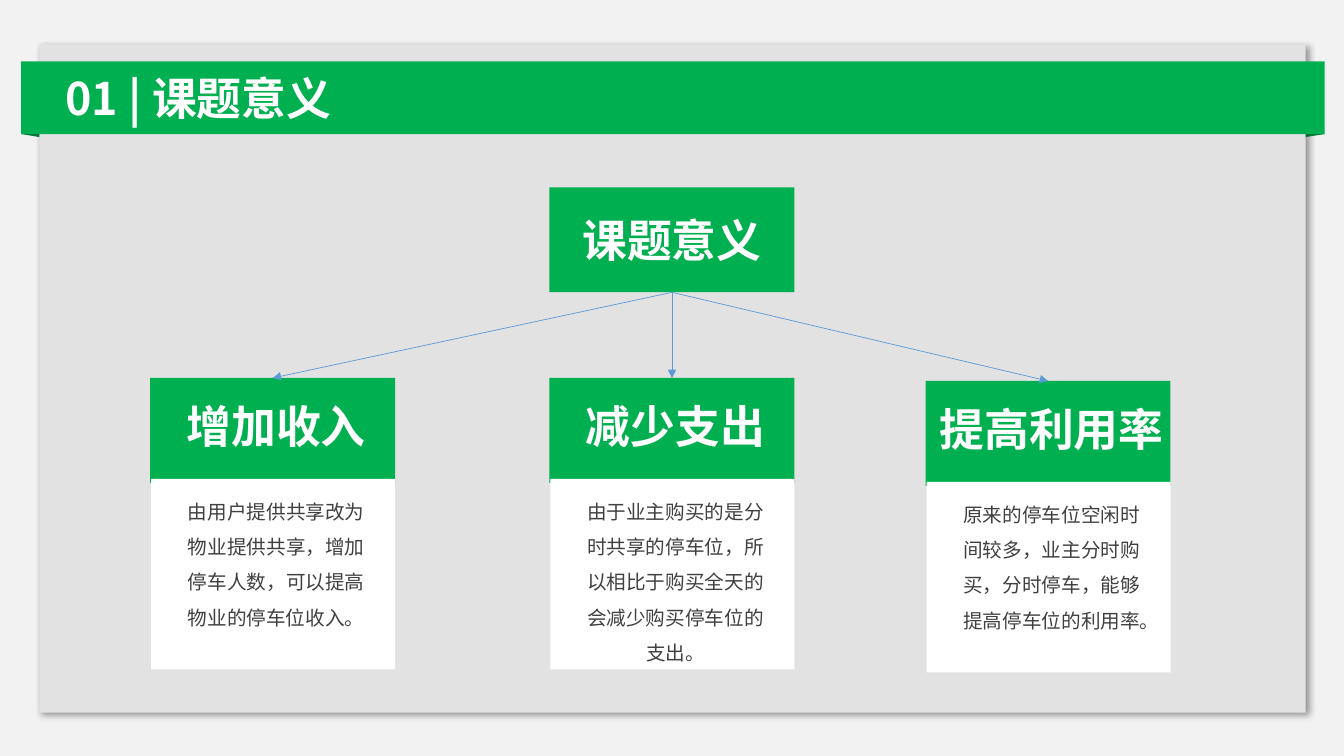
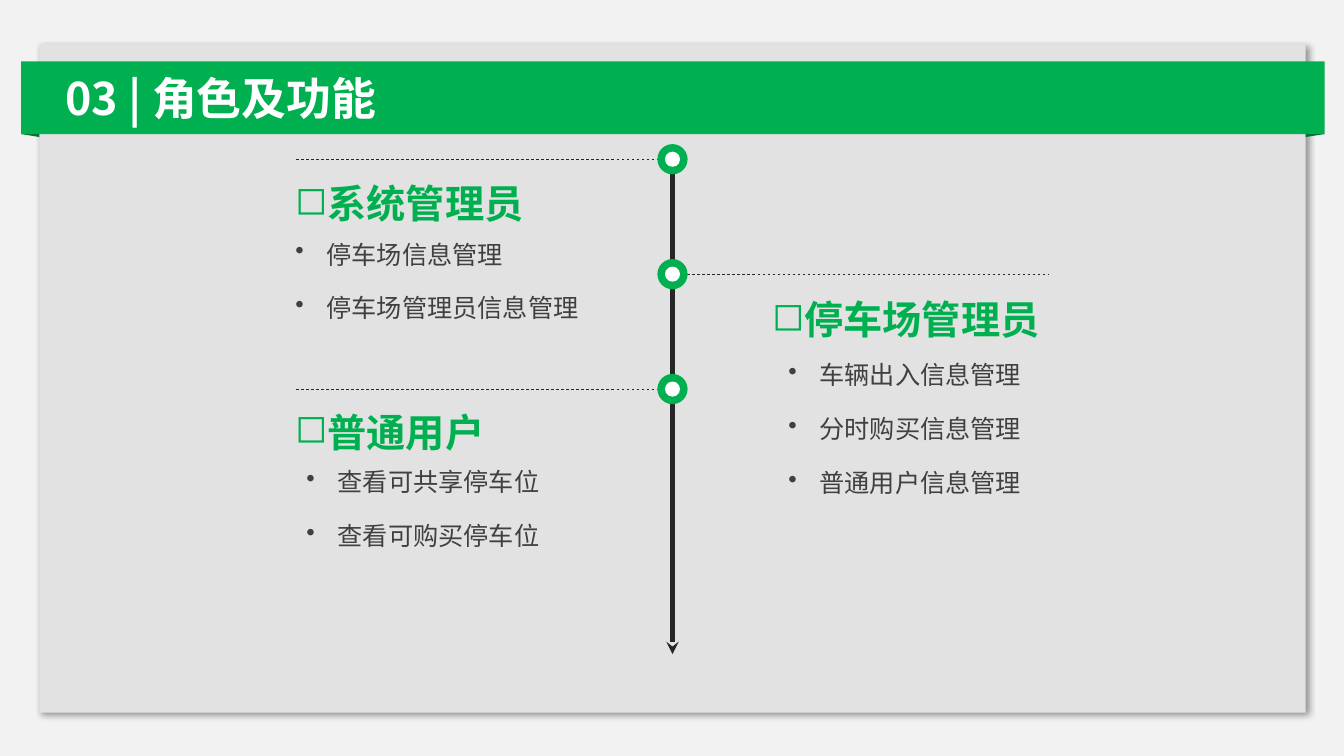
"""Build two slides on the purpose and the roles of a shared parking system."""
from lxml import etree
from pptx import Presentation
from pptx.dml.color import RGBColor
from pptx.enum.dml import MSO_LINE
from pptx.enum.shapes import MSO_CONNECTOR, MSO_SHAPE
from pptx.enum.text import MSO_ANCHOR, PP_ALIGN
from pptx.oxml.ns import qn
from pptx.util import Inches, Pt

RECT, OVAL = MSO_SHAPE.RECTANGLE, MSO_SHAPE.OVAL
STRAIGHT = MSO_CONNECTOR.STRAIGHT
DASH = MSO_LINE.DASH
LEFT, CENTER = PP_ALIGN.LEFT, PP_ALIGN.CENTER
TOP, MIDDLE = MSO_ANCHOR.TOP, MSO_ANCHOR.MIDDLE
BOTTOM_SIDE, TOP_SIDE = 2, 0

FONT = "Noto Sans CJK SC"
GREEN, DARK_GREEN, WHITE = "00B050", "007635", "FFFFFF"
PAGE, PANEL, BODY, INK, BLUE = "F2F2F2", "E2E2E2", "404040", "262626", "5B9BD5"
INSETS = (0.1, 0.05, 0.1, 0.05)


def rgb(value):
    """Turn a hex string into a colour."""
    return RGBColor.from_string(value)


def add_xml(parent, tag, **attributes):
    """Append a drawing element and return it."""
    return etree.SubElement(parent, qn(tag), attributes)


def write(frame, *lines, size=18, color=BODY, bold=False, align=LEFT, anchor=TOP,
          spacing=1.0, before=0, bullet=None, insets=INSETS):
    """Fill a text frame with one paragraph per line."""
    frame.word_wrap = True
    frame.vertical_anchor = anchor
    (frame.margin_left, frame.margin_top,
     frame.margin_right, frame.margin_bottom) = map(Inches, insets)
    for index, line in enumerate(lines):
        paragraph = frame.add_paragraph() if index else frame.paragraphs[0]
        paragraph.alignment = align
        paragraph.line_spacing = spacing
        paragraph.space_before = Pt(before if index else 0)
        if bullet:
            properties = paragraph._p.get_or_add_pPr()
            properties.set("marL", str(Inches(0.31)))
            properties.set("indent", str(-Inches(0.31)))
            add_xml(properties, "a:buChar", char=bullet)
        run = paragraph.add_run()
        run.text = line
        run.font.size = Pt(size)
        run.font.bold = bold
        run.font.color.rgb = rgb(color)
        run.font.name = FONT
        add_xml(run._r.get_or_add_rPr(), "a:ea", typeface=FONT)


class Deck:
    """Hold the presentation, its style and the current slide."""

    def __init__(self):
        """Set the page size and background."""
        self.prs = Presentation()
        self.prs.slide_width, self.prs.slide_height = Inches(13.33), Inches(7.5)
        background = self.prs.slide_master.background.fill
        background.solid()
        background.fore_color.rgb = rgb(PAGE)
        self.slide = None

    def paint(self, shape, fill):
        """Give a shape a plain fill without line or shadow."""
        shape.shadow.inherit = False
        shape.fill.solid()
        shape.fill.fore_color.rgb = rgb(fill)
        shape.line.fill.background()
        return shape

    def shape(self, kind, left, top, width, height, fill):
        """Add a filled preset shape."""
        box = map(Inches, (left, top, width, height))
        return self.paint(self.slide.shapes.add_shape(kind, *box), fill)

    def fold(self, *corners):
        """Add the dark fold behind one end of the title band."""
        start, *others = [tuple(map(Inches, corner)) for corner in corners]
        builder = self.slide.shapes.build_freeform(*start)
        builder.add_line_segments(others)
        self.paint(builder.convert_to_shape(), DARK_GREEN)

    def panel(self):
        """Add the grey panel with its soft shadow."""
        panel = self.shape(RECT, 0.39, 0.44, 12.56, 6.63, PANEL)
        effects = panel.element.spPr.find(qn("a:effectLst"))
        shadow = add_xml(effects, "a:outerShdw", blurRad=str(Pt(4)), dist=str(Pt(3)),
                         dir=str(45 * 60000), algn="tl", rotWithShape="0")
        color = add_xml(shadow, "a:srgbClr", val="000000")
        add_xml(color, "a:alpha", val="40000")

    def new_slide(self, heading):
        """Start a slide with the panel, band and title."""
        self.slide = self.prs.slides.add_slide(self.prs.slide_layouts[5])
        self.panel()
        self.shape(RECT, 0.21, 0.61, 12.93, 0.72, GREEN)
        self.fold((0.21, 1.33), (0.39, 1.33), (0.39, 1.36))
        self.fold((13.14, 1.33), (12.95, 1.33), (12.95, 1.36))
        title = self.slide.shapes.title
        title.left, title.top = Inches(0.55), Inches(0.65)
        title.width, title.height = Inches(9), Inches(0.64)
        write(title.text_frame, heading, size=32, color=WHITE, bold=True, anchor=MIDDLE)
        self.slide.shapes.element.append(title.element)

    def text(self, left, top, width, height, *lines, **style):
        """Add a text box."""
        box = map(Inches, (left, top, width, height))
        write(self.slide.shapes.add_textbox(*box).text_frame, *lines, **style)

    def label(self, left, top, heading, insets=INSETS):
        """Add a green box with a white heading."""
        label = self.shape(RECT, left, top, 2.43, 1.04, GREEN)
        write(label.text_frame, heading, size=32, color=WHITE, bold=True,
              align=CENTER, anchor=MIDDLE, insets=insets)
        return label

    def card(self, left, top, heading, detail):
        """Add a green label above a white explanation."""
        label = self.label(left, top, heading, insets=(0.07, 0, 0, 0.1))
        note = self.shape(RECT, left + 0.01, top + 1, 2.42, 1.89, WHITE)
        write(note.text_frame, detail, size=14, align=CENTER, spacing=1.5,
              insets=(0.32, 0.09, 0.26, 0))
        return label

    def line(self, start, end, color, width, dash=None, arrow=None):
        """Add a straight line, with an arrowhead at its end if named."""
        points = map(Inches, (*start, *end))
        line = self.slide.shapes.add_connector(STRAIGHT, *points)
        line.line.color.rgb = rgb(color)
        line.line.width = Pt(width)
        if dash:
            line.line.dash_style = dash
        if arrow:
            add_xml(line.get_or_add_ln(), "a:tailEnd", type=arrow)
        add_xml(line.element.spPr, "a:effectLst")
        return line

    def branch(self, parent, child):
        """Join the bottom of one box to the top of another."""
        arrow = self.line((0, 0), (1, 1), BLUE, 0.5, arrow="triangle")
        arrow.begin_connect(parent, BOTTOM_SIDE)
        arrow.end_connect(child, TOP_SIDE)

    def node(self, x, y):
        """Add a ring centred on the timeline."""
        for diameter, fill in ((0.3, GREEN), (0.15, WHITE)):
            self.shape(OVAL, x - diameter / 2, y - diameter / 2, diameter, diameter, fill)


def purpose_slide(deck):
    """Show the three benefits of the project."""
    deck.new_slide("01 | 课题意义")
    root = deck.label(5.45, 1.86, "课题意义")
    benefits = (
        (1.49, 3.75, "增加收入",
         "由用户提供共享改为物业提供共享，增加停车人数，可以提高物业的停车位收入。"),
        (5.45, 3.75, "减少支出",
         "由于业主购买的是分时共享的停车位，所以相比于购买全天的会减少购买停车位的支出。"),
        (9.18, 3.78, "提高利用率",
         "原来的停车位空闲时间较多，业主分时购买，分时停车，能够提高停车位的利用率。"),
    )
    for benefit in benefits:
        deck.branch(root, deck.card(*benefit))


def roles_slide(deck):
    """Show the roles along a timeline."""
    deck.new_slide("03 | 角色及功能")
    axis, first, step, reach = 6.67, 1.58, 1.14, 3.73
    roles = (
        (-1, "系统管理员", (2.83, 1.59), (2.83, 2.17),
         ("停车场信息管理", "停车场管理员信息管理")),
        (1, "停车场管理员", (7.56, 2.74), (7.72, 3.37),
         ("车辆出入信息管理", "分时购买信息管理", "普通用户信息管理")),
        (-1, "普通用户", (2.83, 3.86), (2.94, 4.43),
         ("查看可共享停车位", "查看可购买停车位")),
    )
    deck.line((axis, first), (axis, 6.49), INK, 3, arrow="stealth")
    for index, (side, role, role_at, duties_at, duties) in enumerate(roles):
        y = first + index * step
        ends = sorted(((axis, y), (axis + side * reach, y)))
        deck.line(*ends, INK, 0.5, dash=DASH)
        deck.node(axis, y)
        deck.text(*role_at, 3.2, 0.71, role, size=28, color=GREEN, bold=True,
                  spacing=1.3, bullet="◻")
        deck.text(*duties_at, 3.51, 0.01 + 0.54 * len(duties), *duties,
                  spacing=1.5, before=6, bullet="•")


def main():
    """Build and save the slides."""
    deck = Deck()
    purpose_slide(deck)
    roles_slide(deck)
    deck.prs.save("out.pptx")


if __name__ == "__main__":
    main()
